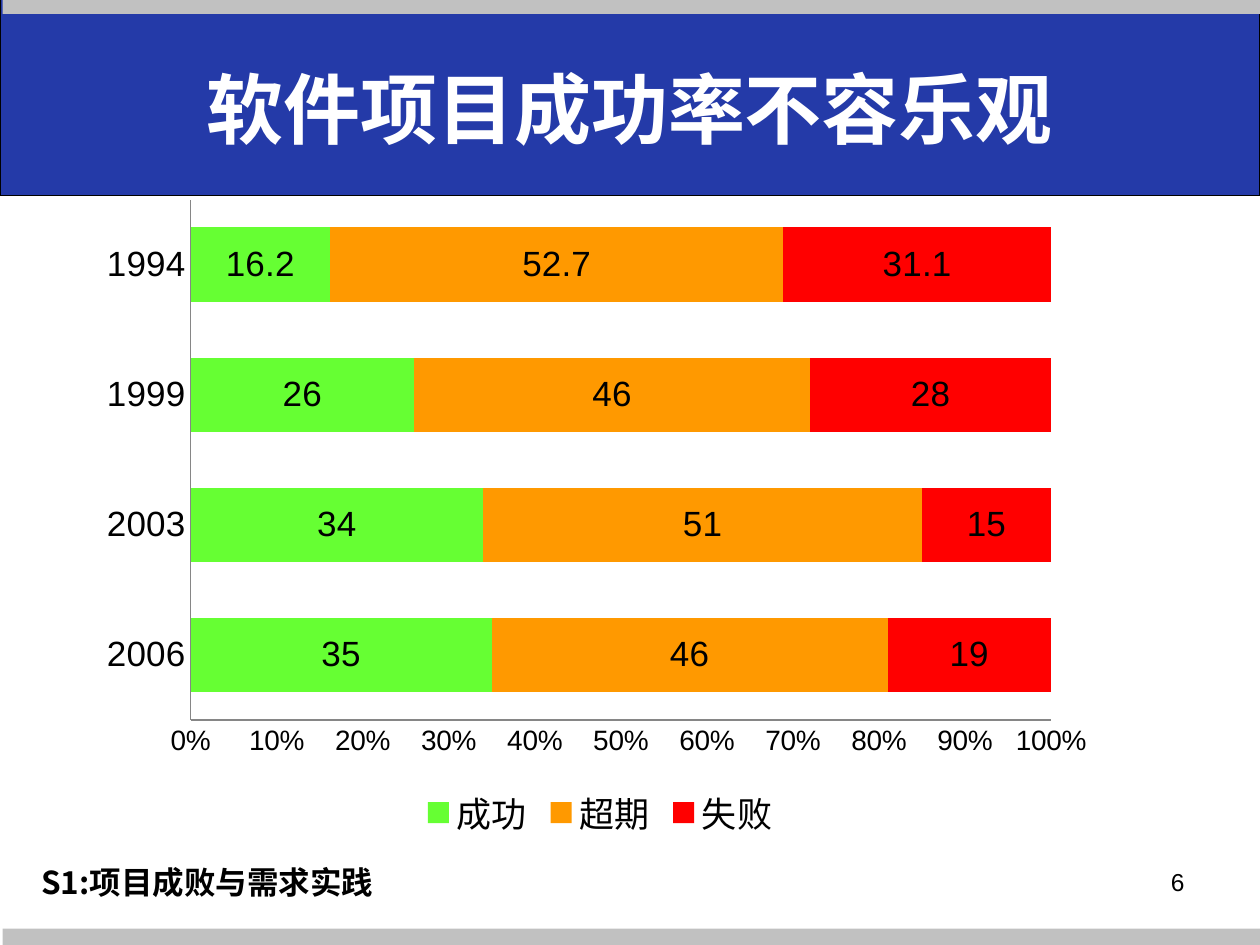
"""Build the slide on software project success rates."""
from lxml.etree import SubElement
from pptx import Presentation
from pptx.chart.data import CategoryChartData
from pptx.dml.color import RGBColor
from pptx.enum.chart import XL_CHART_TYPE, XL_LABEL_POSITION, XL_LEGEND_POSITION, XL_TICK_MARK
from pptx.enum.shapes import MSO_SHAPE
from pptx.enum.text import MSO_ANCHOR, PP_ALIGN
from pptx.oxml.ns import qn
from pptx.util import Pt

EMU_PER_PX = 9144
BLUE = RGBColor(0x24, 0x3A, 0xA8)
SILVER = RGBColor(0xC1, 0xC1, 0xC1)
GRAY = RGBColor(0x86, 0x86, 0x86)
BLACK = RGBColor(0, 0, 0)
WHITE = RGBColor(0xFF, 0xFF, 0xFF)
GREEN = RGBColor(0x66, 0xFF, 0x33)
ORANGE = RGBColor(0xFF, 0x99, 0x00)
RED = RGBColor(0xFF, 0, 0)

YEARS = ["2006", "2003", "1999", "1994"]
OUTCOMES = [
    ("成功", [35, 34, 26, 16.2], GREEN),
    ("超期", [46, 51, 46, 52.7], ORANGE),
    ("失败", [19, 15, 28, 31.1], RED),
]
PLOT_LAYOUT = {"x": 0.1, "y": 0.02, "w": 0.84, "h": 0.79}


def px(*lengths):
    return [length * EMU_PER_PX for length in lengths]


class SlideBuilder:
    """Holds the style and the current slide."""

    def __init__(self, page, font_name="Arial"):
        self.page = page
        self.font_name = font_name

    def style(self, font, size, color=BLACK, bold=False, name=None):
        font.name = name or self.font_name
        font.size = Pt(size)
        font.bold = bold
        font.color.rgb = color

    def band(self, bounds, color, line=None):
        band = self.page.shapes.add_shape(MSO_SHAPE.RECTANGLE, *px(*bounds))
        band.shadow.inherit = False
        band.fill.solid()
        band.fill.fore_color.rgb = color
        if line is None:
            band.line.fill.background()
        else:
            band.line.color.rgb = line
            band.line.width = Pt(0.75)

    def text(self, bounds, words, size, align=PP_ALIGN.LEFT, anchor=MSO_ANCHOR.TOP, **look):
        frame = self.page.shapes.add_textbox(*px(*bounds)).text_frame
        frame.word_wrap = True
        frame.vertical_anchor = anchor
        para = frame.paragraphs[0]
        para.text = words
        para.alignment = align
        self.style(para.font, size, **look)

    def axis(self, axis, size):
        axis.has_major_gridlines = False
        axis.major_tick_mark = axis.minor_tick_mark = XL_TICK_MARK.NONE
        axis.format.line.color.rgb = GRAY
        self.style(axis.tick_labels.font, size)

    def stacked_bars(self, bounds, categories, outcomes):
        data = CategoryChartData()
        data.categories = categories
        for name, values, _ in outcomes:
            data.add_series(name, values)
        chart = self.page.shapes.add_chart(
            XL_CHART_TYPE.BAR_STACKED_100, *px(*bounds), data).chart
        self.style(chart.font, 10)
        chart.has_title = False
        chart.has_legend = True
        chart.legend.position = XL_LEGEND_POSITION.BOTTOM
        chart.legend.include_in_layout = False
        self.style(chart.legend.font, 20)

        self.axis(chart.category_axis, 20)
        self.axis(chart.value_axis, 16)
        chart.value_axis.minimum_scale = 0
        chart.value_axis.maximum_scale = 1
        chart.value_axis.major_unit = 0.1
        chart.value_axis.tick_labels.number_format = "0%"
        chart.value_axis.tick_labels.number_format_is_linked = False

        plot = chart.plots[0]
        plot.gap_width = 75
        plot.overlap = 100
        plot.vary_by_categories = False
        for series, (_, _, color) in zip(plot.series, outcomes):
            series.format.fill.solid()
            series.format.fill.fore_color.rgb = color
            labels = series.data_labels
            labels.show_value = True
            labels.position = XL_LABEL_POSITION.CENTER
            self.style(labels.font, 20)
        self.place_plot(chart)

    def place_plot(self, chart):
        area = chart.element.find(".//" + qn("c:plotArea"))
        layout = area.find(qn("c:layout"))
        if layout is None:
            layout = SubElement(area, qn("c:layout"))
            area.insert(0, layout)
        manual = SubElement(layout, qn("c:manualLayout"))
        settings = {"layoutTarget": "inner", "xMode": "edge", "yMode": "edge", **PLOT_LAYOUT}
        for tag, value in settings.items():
            SubElement(manual, qn("c:" + tag)).set("val", str(value))


def main():
    deck = Presentation()
    deck.slide_width, deck.slide_height = px(1000, 750)
    builder = SlideBuilder(deck.slides.add_slide(deck.slide_layouts[6]))
    builder.band((0, -2, 1000, 157), BLUE, line=BLACK)
    builder.band((2, 737, 998, 13), SILVER)
    builder.band((2, -1, 998, 12), SILVER)
    builder.text((50, 23, 900, 125), "软件项目成功率不容乐观", 44, PP_ALIGN.CENTER,
                 MSO_ANCHOR.MIDDLE, color=WHITE, bold=True)
    builder.stacked_bars((70, 148, 813, 523), YEARS, OUTCOMES)
    builder.text((23, 680, 287, 40), "S1:项目成败与需求实践", 18, bold=True,
                 name="Noto Sans CJK SC")
    builder.text((717, 683, 233, 52), "6", 14, PP_ALIGN.RIGHT)
    deck.save("out.pptx")


if __name__ == "__main__":
    main()
